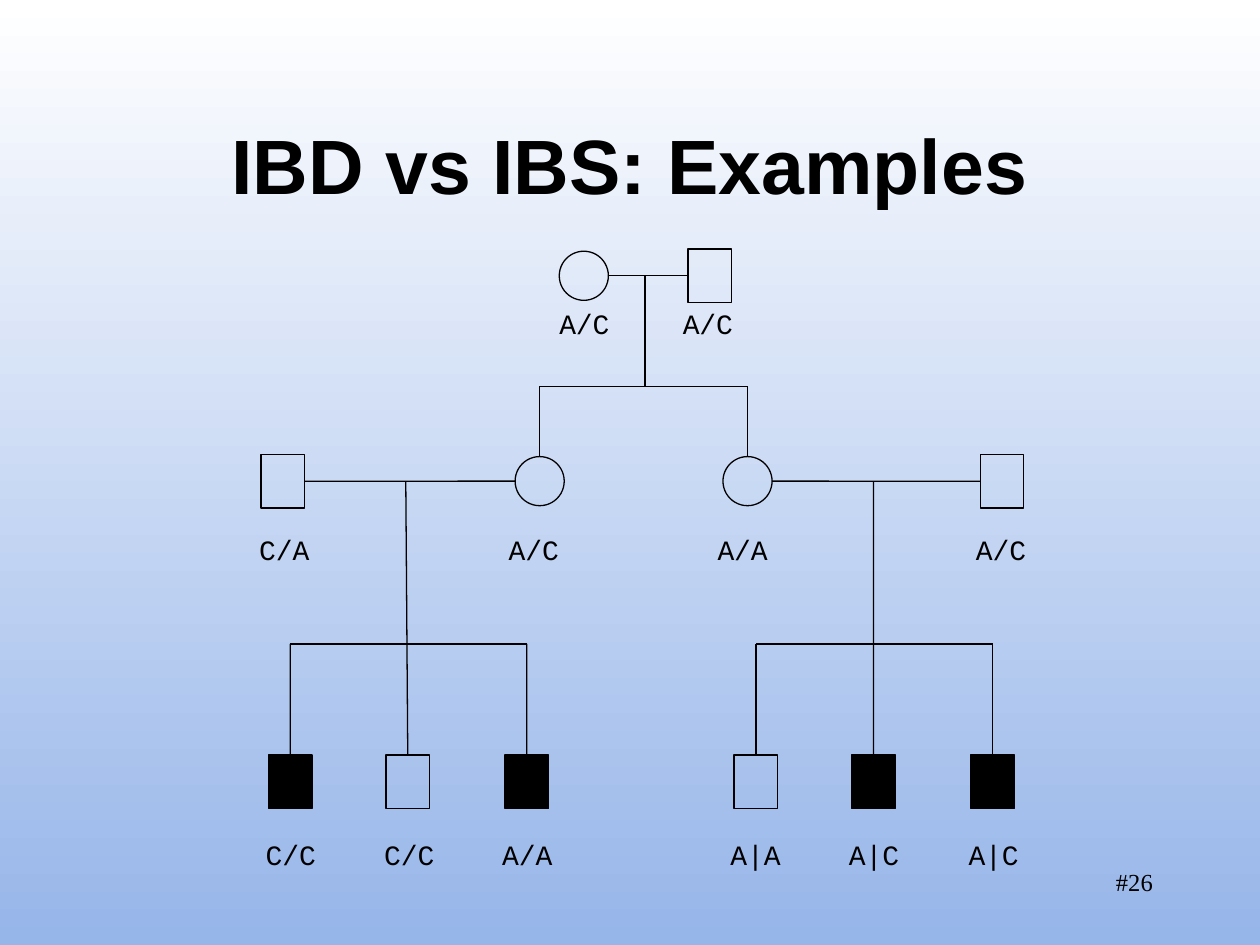
from lxml import etree
from pptx import Presentation
from pptx.dml.color import RGBColor
from pptx.enum.shapes import MSO_CONNECTOR, MSO_SHAPE
from pptx.enum.text import MSO_ANCHOR, MSO_AUTO_SIZE, PP_ALIGN
from pptx.oxml.ns import qn
from pptx.util import Cm, Pt

STRAIGHT = MSO_CONNECTOR.STRAIGHT
RECT, OVAL = MSO_SHAPE.RECTANGLE, MSO_SHAPE.OVAL
MIDDLE = MSO_ANCHOR.MIDDLE
GROW = MSO_AUTO_SIZE.SHAPE_TO_FIT_TEXT
LEFT, CENTER, RIGHT = PP_ALIGN.LEFT, PP_ALIGN.CENTER, PP_ALIGN.RIGHT
SIDE_TOP, SIDE_LEFT, SIDE_RIGHT = 0, 1, 3

THEME = {
    "ink": RGBColor(0, 0, 0),
    "gradient": ("FFFFFF", "96B5E9"),
    "line": Pt(0.75),
    "title": ("Arial", Pt(44)),
    "genotype": ("Courier New", Pt(16)),
    "number": ("Times New Roman", Pt(14)),
}

# Content (all lengths in cm)
TITLE = "IBD vs IBS: Examples"
NUMBER = "#26"

# generation: (centre of symbols, top of genotypes)
GENERATIONS = {1: (5.56, 6.05), 2: (9.7, 10.62), 3: (15.76, 16.76)}

# person: (generation, sex, affected, symbol centre, genotype centre, genotype)
PEOPLE = {
    "grandmother": (1, "F", False, 11.77, 11.79, "A/C"),
    "grandfather": (1, "M", False, 14.31, 14.28, "A/C"),
    "left father": (2, "M", False, 5.7, 5.74, "C/A"),
    "left mother": (2, "F", False, 10.88, 10.77, "A/C"),
    "right mother": (2, "F", False, 15.07, 14.98, "A/A"),
    "right father": (2, "M", False, 20.2, 20.19, "A/C"),
    "left son 1": (3, "M", True, 5.85, 5.87, "C/C"),
    "left son 2": (3, "M", False, 8.22, 8.26, "C/C"),
    "left son 3": (3, "M", True, 10.62, 10.64, "A/A"),
    "right son 1": (3, "M", False, 15.24, 15.24, "A|A"),
    "right son 2": (3, "M", True, 17.61, 17.63, "A|C"),
    "right son 3": (3, "M", True, 20.01, 20.04, "A|C"),
}

# (mother, father, children, x of descent line, y of sibling bar)
FAMILIES = [
    ("grandmother", "grandfather", ["left mother", "right mother"], 13, 7.79),
    ("left mother", "left father",
     ["left son 1", "left son 2", "left son 3"], 8.18, 12.98),
    ("right mother", "right father",
     ["right son 1", "right son 2", "right son 3"], 17.61, 12.98),
]

SYMBOL_SIZE = {"M": (0.88, 1.08), "F": (0.99, 0.99)}
GENOTYPE_SIZE = (1.53, 0.93)


def write(frame, text, style, align, bold=False):
    paragraph = frame.paragraphs[0]
    paragraph.text = text
    paragraph.alignment = align
    font = paragraph.font
    font.name, font.size = THEME[style]
    font.bold = bold
    font.color.rgb = THEME["ink"]


def add_symbol(slide, sex, affected, x, y):
    width, height = SYMBOL_SIZE[sex]
    symbol = slide.shapes.add_shape(
        RECT if sex == "M" else OVAL,
        Cm(x - width / 2), Cm(y - height / 2), Cm(width), Cm(height))
    symbol.shadow.inherit = False
    if affected:
        symbol.fill.solid()
        symbol.fill.fore_color.rgb = THEME["ink"]
    else:
        symbol.fill.background()
    symbol.line.color.rgb = THEME["ink"]
    symbol.line.width = THEME["line"]
    return symbol


def add_line(slide, start, end):
    line = slide.shapes.add_connector(
        STRAIGHT, *(Cm(value) for value in (*start, *end)))
    line.line.color.rgb = THEME["ink"]
    line.line.width = THEME["line"]
    etree.SubElement(line._element.spPr, qn("a:effectLst"))
    return line


def add_family(slide, symbols, family):
    mother, father, children, descent_x, bar_y = family
    generation, _, _, mother_x, _, _ = PEOPLE[mother]
    father_x = PEOPLE[father][3]
    couple_y = GENERATIONS[generation][0]
    direction = 1 if father_x > mother_x else -1

    # Couple
    mother_edge = mother_x + direction * SYMBOL_SIZE["F"][0] / 2
    couple = add_line(slide, (mother_edge, couple_y), (father_x, couple_y))
    couple.end_connect(symbols[father],
                       SIDE_LEFT if direction > 0 else SIDE_RIGHT)

    # Sibling bar, and the descent line down to it or to a middle child
    child_xs = [PEOPLE[child][3] for child in children]
    add_line(slide, (child_xs[0], bar_y), (child_xs[-1], bar_y))
    descent = add_line(slide, (descent_x, couple_y), (descent_x, bar_y))
    if len(children) % 2:
        descent.end_connect(symbols[children[len(children) // 2]], SIDE_TOP)

    # Outer children
    for child, x in ((children[0], child_xs[0]), (children[-1], child_xs[-1])):
        drop = add_line(slide, (x, bar_y), (x, bar_y + 1))
        drop.end_connect(symbols[child], SIDE_TOP)


def main():
    deck = Presentation()
    deck.slide_width, deck.slide_height = Cm(25.4), Cm(19.05)
    slide = deck.slides.add_slide(deck.slide_layouts[5])

    # Background
    background = slide.background.fill
    background.gradient()
    background.gradient_angle = 270
    for position, (stop, color) in enumerate(
            zip(background.gradient_stops, THEME["gradient"])):
        stop.position = position
        stop.color.rgb = RGBColor.from_string(color)

    # Title
    title = slide.shapes.title
    title.left, title.top = Cm(1.9), Cm(1.7)
    title.width, title.height = Cm(21.6), Cm(3.18)
    title.text_frame.vertical_anchor = MIDDLE
    write(title.text_frame, TITLE, "title", CENTER, bold=True)

    # People and their genotypes
    symbols = {}
    width, height = GENOTYPE_SIZE
    for person, (generation, sex, affected, x, label_x, genotype) in PEOPLE.items():
        symbol_y, label_top = GENERATIONS[generation]
        symbols[person] = add_symbol(slide, sex, affected, x, symbol_y)
        label = slide.shapes.add_textbox(
            Cm(label_x - width / 2), Cm(label_top), Cm(width), Cm(height))
        label.text_frame.word_wrap = False
        label.text_frame.auto_size = GROW
        write(label.text_frame, genotype, "genotype", LEFT)

    # Family lines
    for family in FAMILIES:
        add_family(slide, symbols, family)

    # Slide number
    number = slide.shapes.add_textbox(Cm(18.2), Cm(17.35), Cm(5.29), Cm(1.27))
    number.text_frame.word_wrap = True
    write(number.text_frame, NUMBER, "number", RIGHT)

    deck.save("out.pptx")


if __name__ == "__main__":
    main()
